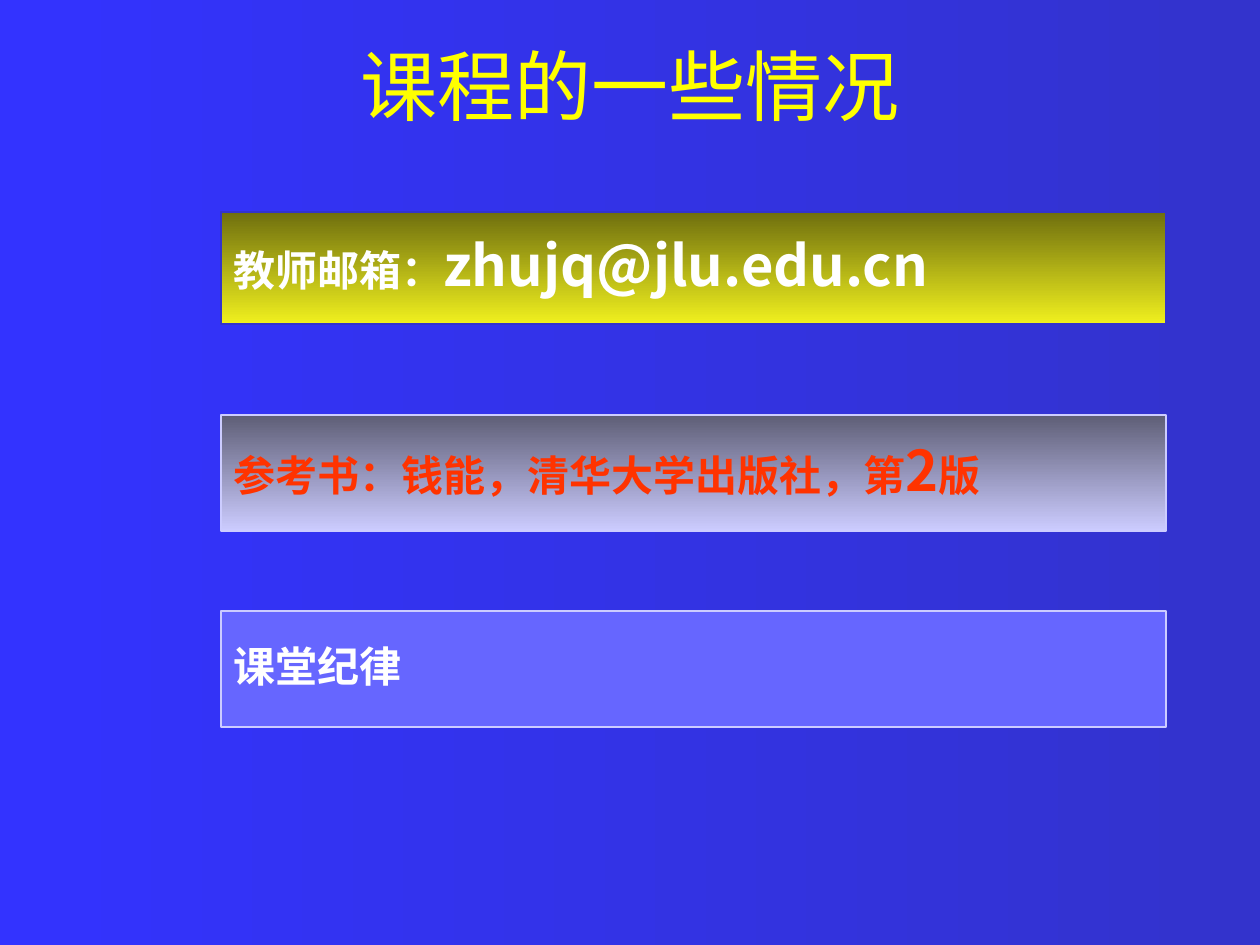
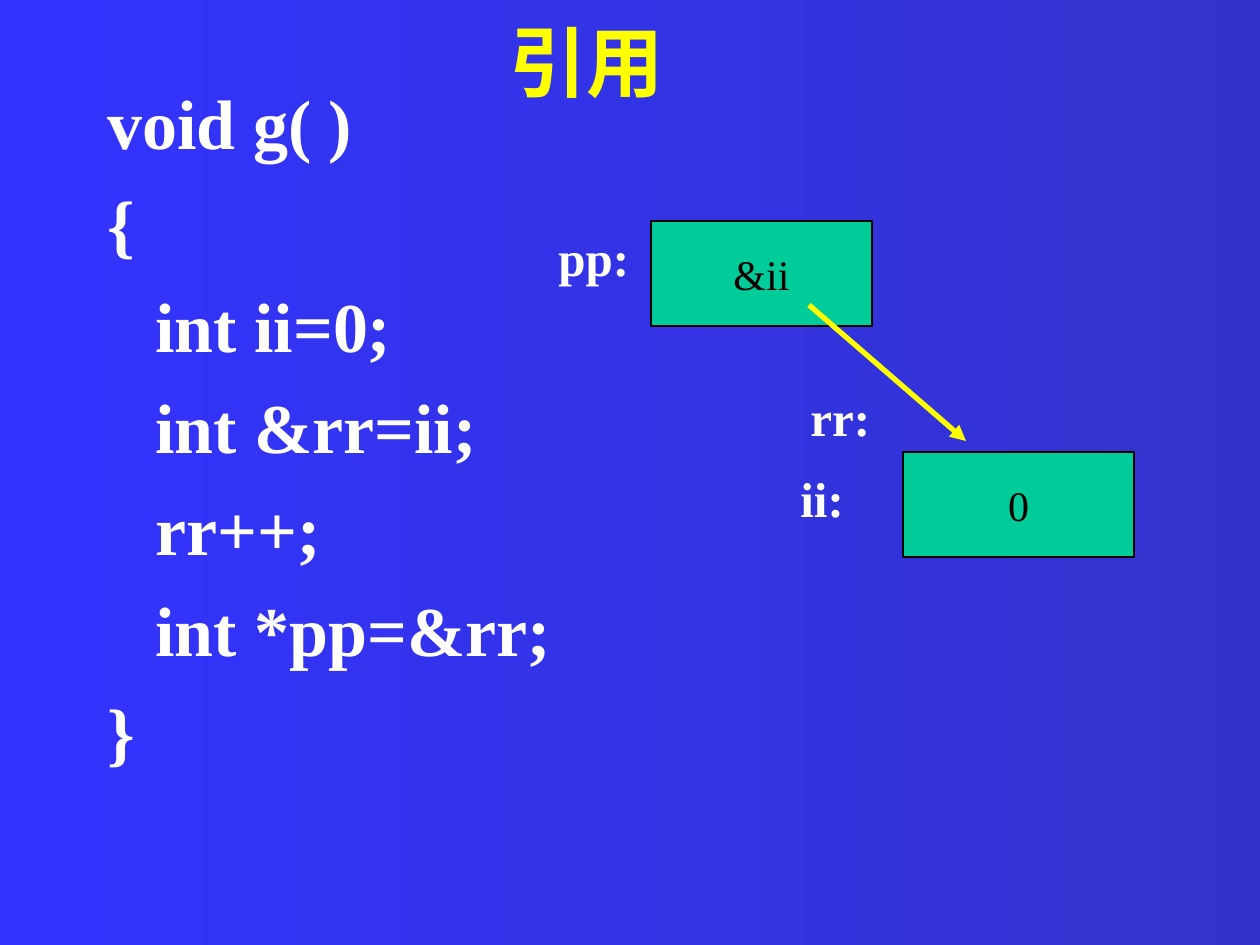
from lxml import etree
from pptx import Presentation
from pptx.dml.color import RGBColor
from pptx.enum.shapes import MSO_CONNECTOR as CONNECTOR, MSO_SHAPE as SHAPE
from pptx.enum.text import MSO_ANCHOR as ANCHOR, PP_ALIGN as ALIGN
from pptx.oxml.ns import qn
from pptx.util import Emu, Pt

PX = 914400 / 126
SERIF = "Times New Roman"
SANS = "Noto Sans CJK SC"
BLUE = RGBColor(0x33, 0x33, 0xFF)
DEEP_BLUE = RGBColor(0x33, 0x33, 0xCC)
SOFT_BLUE = RGBColor(0x66, 0x66, 0xFF)
LAVENDER = RGBColor(0xCC, 0xCC, 0xFF)
SLATE = RGBColor(0x5E, 0x5E, 0x76)
OLIVE = RGBColor(0x6F, 0x6F, 0x0E)
LEMON = RGBColor(0xF0, 0xF0, 0x1E)
YELLOW = RGBColor(0xFF, 0xFF, 0x00)
RED = RGBColor(0xFF, 0x33, 0x00)
GREEN = RGBColor(0x00, 0xCC, 0x99)
WHITE = RGBColor(0xFF, 0xFF, 0xFF)
BLACK = RGBColor(0x00, 0x00, 0x00)

TITLE = {"name": SERIF, "size": 44, "color": YELLOW, "bold": False}
CARD = {"name": SANS, "size": 24, "color": WHITE, "bold": True}
CODE = {"name": SERIF, "size": 40, "color": WHITE, "bold": True}
LABEL = {**CODE, "size": 28}
CELL = {"name": SERIF, "size": 24, "color": BLACK, "bold": False}


def paint(fill, colors, angle):
    if len(colors) == 1:
        fill.solid()
        fill.fore_color.rgb = colors[0]
        return
    fill.gradient()
    fill.gradient_angle = angle
    for stop, color in zip(fill.gradient_stops, colors):
        stop.color.rgb = color


def write(box, lines, style, align=ALIGN.LEFT, anchor=ANCHOR.MIDDLE):
    frame = box.text_frame
    frame.word_wrap = True
    frame.vertical_anchor = anchor
    for index, spans in enumerate(lines):
        para = frame.add_paragraph() if index else frame.paragraphs[0]
        para.alignment = align
        for text, changes in spans:
            look = {**style, **changes}
            span = para.add_run()
            span.text = text
            span.font.color.rgb = look["color"]
            for key, value in {"name": look["name"], "size": Pt(look["size"]), "bold": look["bold"]}.items():
                setattr(span.font, key, value)
            if not text.isascii():
                east = etree.SubElement(span.font._element, qn("a:ea"))
                east.set("typeface", SANS)
    return frame


deck = Presentation()
deck.slide_width, deck.slide_height = Emu(round(1260 * PX)), Emu(round(945 * PX))

titles = [
    ("课程的一些情况", (0, 6, 1260, 158), {}),
    ("引用 ", (-35, 16, 1260, 90), {"bold": True}),
]
for title, place, changes in titles:
    page = deck.slides.add_slide(deck.slide_layouts[6])
    paint(page.background.fill, [BLUE, DEEP_BLUE], 0)
    box = page.shapes.add_textbox(*[Emu(round(n * PX)) for n in place])
    write(box, [[(title, changes)]], TITLE, ALIGN.CENTER)
course, reference = deck.slides

cards = [
    (212, 112, [OLIVE, LEMON], DEEP_BLUE, WHITE,
     [("教师邮箱：", {}), ("zhujq@jlu.edu.cn", {"size": 32})]),
    (415, 116, [SLATE, LAVENDER], LAVENDER, RED,
     [("参考书：钱能，清华大学出版社，第", {}), ("2", {"size": 32}), ("版", {})]),
    (611, 116, [SOFT_BLUE], LAVENDER, WHITE, [("课堂纪律", {})]),
]
for top, height, colors, border, ink, spans in cards:
    place = [Emu(round(n * PX)) for n in (221, top, 945, height)]
    card = course.shapes.add_shape(SHAPE.RECTANGLE, *place)
    card.shadow.inherit = False
    paint(card.fill, colors, 270)
    card.line.color.rgb = border
    card.line.width = Pt(1)
    frame = write(card, [spans], {**CARD, "color": ink})
    frame.paragraphs[0].line_spacing = 0.9

code = ["void g( )", "{", "int ii=0;", "int &rr=ii;", "rr++;", "int *pp=&rr;", "}"]
place = [Emu(round(n * PX)) for n in (95, 73, 1071, 766)]
listing = reference.shapes.add_textbox(*place)
frame = write(listing, [[(line, {})] for line in code], CODE, anchor=ANCHOR.TOP)
for index, para in enumerate(frame.paragraphs):
    if index:
        para.space_before = Pt(10)
    if 2 <= index <= 5:
        para._p.get_or_add_pPr().set("marL", str(round(48 * PX)))

for text, left, top, width in [("&ii", 651, 221, 221), ("0", 903, 452, 231)]:
    place = [Emu(round(n * PX)) for n in (left, top, width, 105)]
    cell = reference.shapes.add_shape(SHAPE.RECTANGLE, *place)
    cell.shadow.inherit = False
    paint(cell.fill, [GREEN], 0)
    cell.line.color.rgb = BLACK
    cell.line.width = Pt(0.75)
    write(cell, [[(text, {})]], CELL, ALIGN.CENTER)

for text, left, top in [("pp:", 546, 221), ("ii:", 788, 462), ("rr:", 798, 381)]:
    place = [Emu(round(n * PX)) for n in (left, top, 105, 72)]
    label = reference.shapes.add_textbox(*place)
    write(label, [[(text, {})]], LABEL, anchor=ANCHOR.TOP)

ends = [Emu(round(n * PX)) for n in (809, 305, 966, 441)]
pointer = reference.shapes.add_connector(CONNECTOR.STRAIGHT, *ends)
pointer.line.color.rgb = YELLOW
pointer.line.width = Pt(3)
etree.SubElement(pointer.line._get_or_add_ln(), qn("a:tailEnd")).set("type", "triangle")
etree.SubElement(pointer._element.spPr, qn("a:effectLst"))

deck.save("out.pptx")
